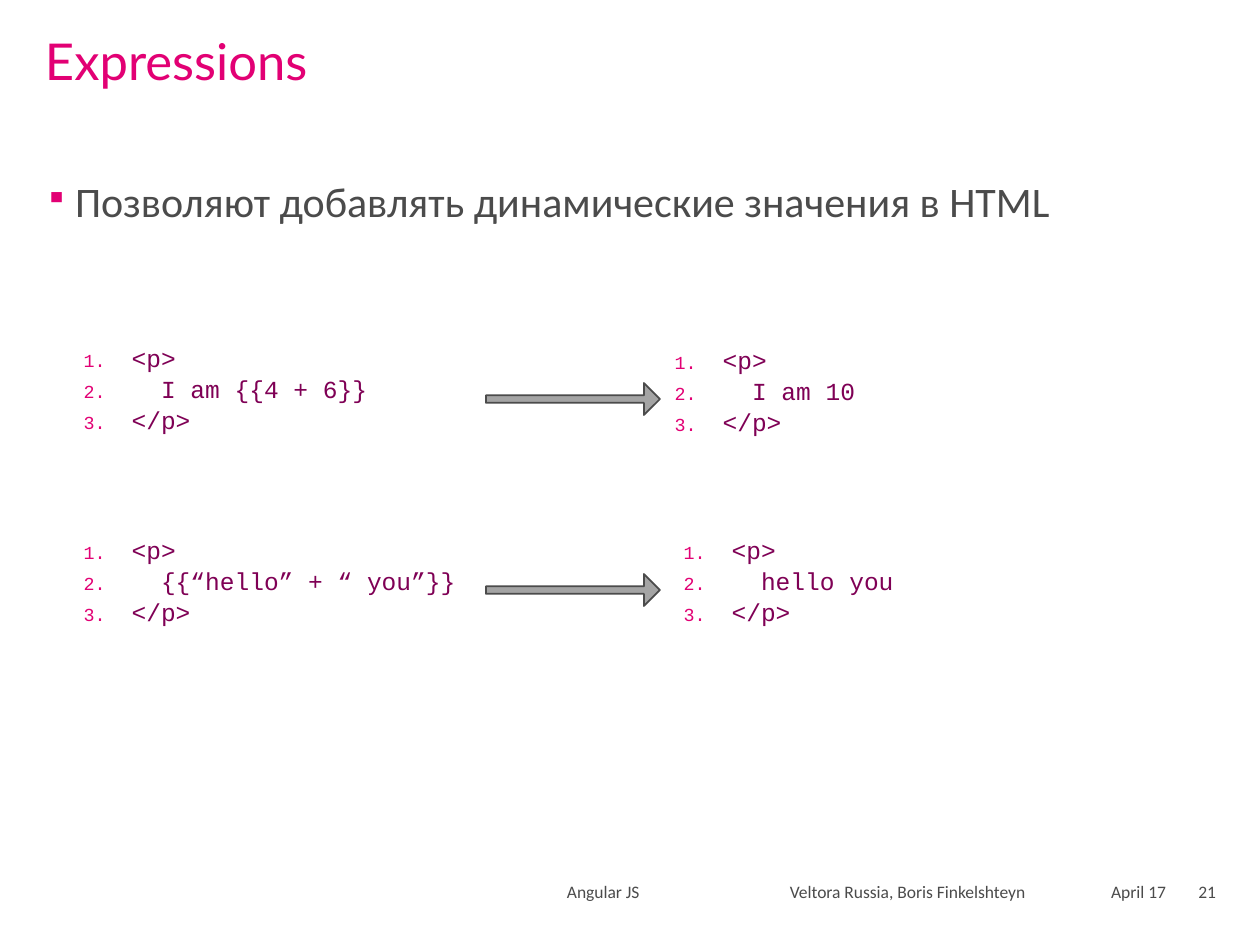
"""Build the Expressions slide: code samples and what they evaluate to."""
from lxml.etree import SubElement
from pptx import Presentation
from pptx.dml.color import RGBColor
from pptx.enum.shapes import MSO_SHAPE as Shape
from pptx.enum.text import MSO_ANCHOR as Anchor, PP_ALIGN as Align
from pptx.oxml.ns import qn
from pptx.util import Pt

PINK = RGBColor(0xE2, 0x00, 0x74)
GREY = RGBColor(0x4B, 0x4B, 0x4B)
PLUM = RGBColor(0x7F, 0x00, 0x55)
SILVER = RGBColor(0xA4, 0xA4, 0xA4)
PX = 914400 // 126

TITLE = "Expressions"
POINT = "Позволяют добавлять динамические значения в HTML"
FOOTER = "Angular JS\tVeltora Russia, Boris Finkelshteyn"
DATE, PAGE = "April 17", "21"
CODES = [
    (71, 341, 314, "I am {{4 + 6}}"),
    (662, 343, 314, "I am 10"),
    (71, 533, 407, "{{“hello” + “ you”}}"),
    (671, 533, 407, "hello you"),
]
ARROWS = [(557, 312), (557, 503)]


def scale(*sizes):
    return [size * PX for size in sizes]


def style(para, font, size, color):
    for run in para.runs:
        run.font.name = font
        run.font.size = Pt(size)
        run.font.color.rgb = color


def mark(para, indent, tag, **attrs):
    props = para._p.get_or_add_pPr()
    props.set("marL", str(indent * PX))
    props.set("indent", str(-indent * PX))
    tint = SubElement(props, qn("a:buClr"))
    SubElement(tint, qn("a:srgbClr"), val=str(PINK))
    SubElement(props, qn("a:buSzPct"), val="75000")
    SubElement(props, qn(tag), **attrs)
    para.line_spacing = 0.9


def add_text(slide, box, text, font, size, color, anchor=Anchor.TOP, align=Align.LEFT):
    frame = slide.shapes.add_textbox(*scale(*box)).text_frame
    frame.word_wrap = True
    frame.margin_left = frame.margin_right = frame.margin_top = frame.margin_bottom = 0
    frame.vertical_anchor = anchor
    para = frame.paragraphs[0]
    para.text = text
    para.alignment = align
    style(para, font, size, color)
    return frame


def add_code(slide, left, top, width, line):
    table = slide.shapes.add_table(1, 1, *scale(left, top, width, 112)).table
    table.first_row = table.horz_banding = False
    cell = table.cell(0, 0)
    cell.fill.background()
    frame = cell.text_frame
    frame.text = "\n".join(["<p>", "  " + line, "</p>"])
    for row, para in enumerate(frame.paragraphs):
        mark(para, 48, "a:buAutoNum", type="arabicPeriod")
        para.space_before = Pt(3.5 if row else 0)
        style(para, "Courier New", 14, PLUM)


def add_arrow(slide, left, top):
    arrow = slide.shapes.add_shape(Shape.DOWN_ARROW, *scale(left, top, 32, 174))
    arrow.rotation = 270
    arrow.adjustments[0] = 0.24
    arrow.adjustments[1] = 0.5
    arrow.shadow.inherit = False
    arrow.fill.solid()
    arrow.fill.fore_color.rgb = SILVER
    arrow.line.color.rgb = GREY
    arrow.line.width = Pt(1)


def main():
    deck = Presentation()
    deck.slide_width, deck.slide_height = scale(1260, 945)
    slide = deck.slides.add_slide(deck.slide_layouts[6])

    title = add_text(slide, (45, 37, 1171, 73), TITLE, "Lato", 29, PINK)
    title.paragraphs[0].line_spacing = 0.9
    point = add_text(slide, (45, 181, 1056, 63), POINT, "Calibri", 24, GREY)
    mark(point.paragraphs[0], 30, "a:buChar", char="▪")

    small = ("Calibri", 10, GREY, Anchor.MIDDLE)
    add_text(slide, (1053, 872, 113, 40), DATE, *small, Align.RIGHT)
    add_text(slide, (1176, 872, 40, 40), PAGE, *small, Align.RIGHT)
    foot = add_text(slide, (478, 872, 567, 40), FOOTER, *small)
    foot.margin_left = 89 * PX
    tabs = SubElement(foot.paragraphs[0]._p.get_or_add_pPr(), qn("a:tabLst"))
    SubElement(tabs, qn("a:tab"), pos=str(223 * PX), algn="l")

    for code in CODES:
        add_code(slide, *code)
    for spot in ARROWS:
        add_arrow(slide, *spot)
    deck.save("out.pptx")


if __name__ == "__main__":
    main()
